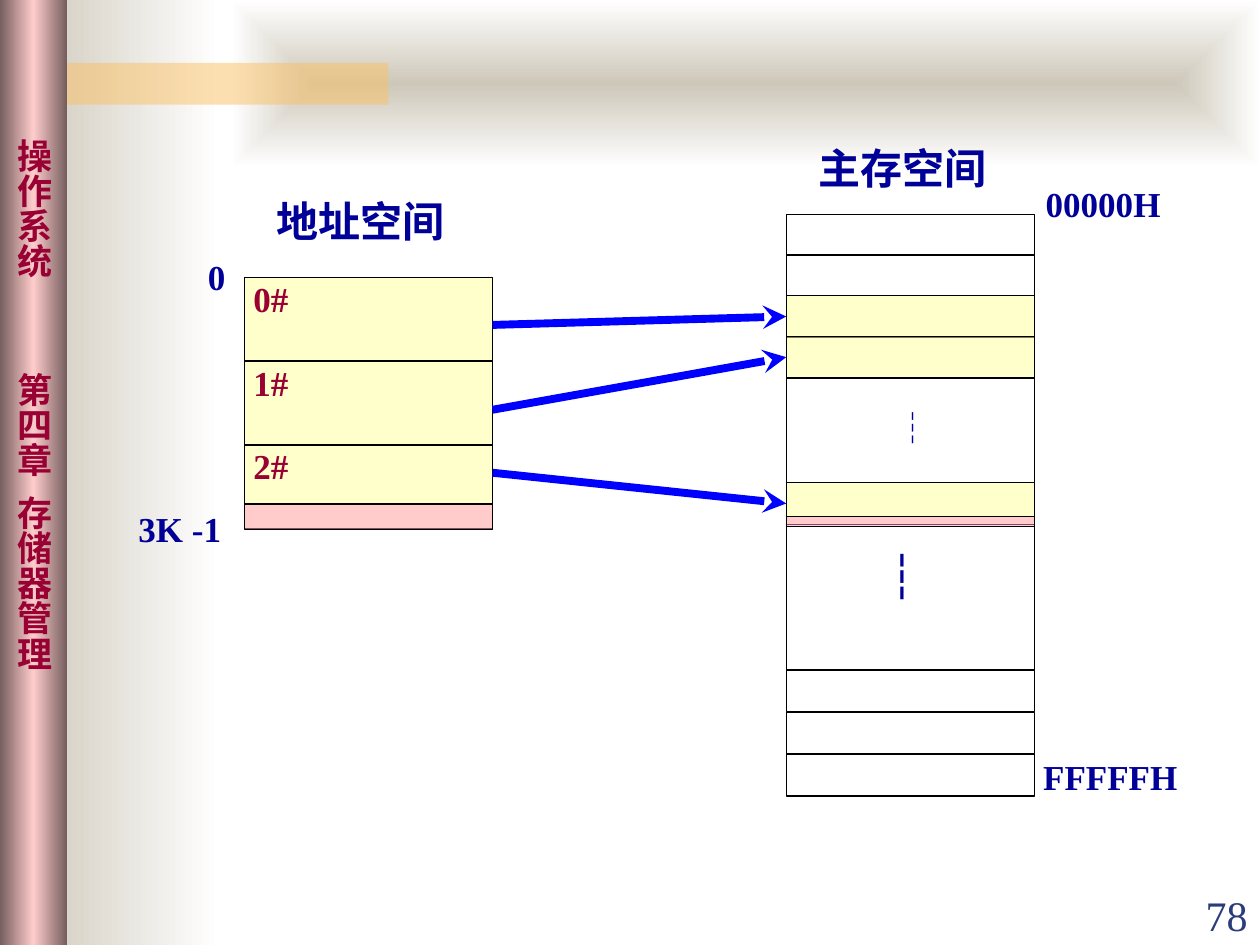
from lxml import etree
from pptx import Presentation, util as u
from pptx.dml.color import RGBColor
from pptx.enum import shapes, text
from pptx.oxml import ns, parse_xml

COLORS = {
    "sand": "CEC8BA", "white": "FFFFFF", "orange": "FAC164", "rose": "FFCCCC",
    "mauve": "765E5E", "crimson": "990033", "navy": "000099", "slate": "2A3D7A",
    "black": "000000", "yellow": "FFFF99", "pink": "FF99CC", "blue": "0000FF",
}
SERIF = "Times New Roman"
SANS = "Noto Sans CJK SC"

deck = Presentation()
deck.slide_width, deck.slide_height = u.Cm(25.4), u.Cm(19.05)
page = deck.slides.add_slide(deck.slide_layouts[6])


def add_rect(left, top, width, height, color=None, alpha=None, outlined=False):
    box = page.shapes.add_shape(
        shapes.MSO_SHAPE.RECTANGLE, u.Cm(left), u.Cm(top), u.Cm(width), u.Cm(height))
    box.shadow.inherit = False
    if outlined:
        box.line.color.rgb = RGBColor.from_string(COLORS["black"])
        box.line.width = u.Pt(0.75)
    else:
        box.line.fill.background()
    if color:
        box.fill.solid()
        box.fill.fore_color.rgb = RGBColor.from_string(COLORS[color])
    if alpha:
        shade = box.fill._xPr.find(ns.qn("a:solidFill"))[0]
        etree.SubElement(shade, ns.qn("a:alpha"), val=str(alpha * 1000))
    return box


def add_words(box, words, size, color, font=SERIF, bold=True):
    para = box.text_frame.paragraphs[0]
    para.alignment = text.PP_ALIGN.LEFT
    span = para.add_run()
    span.text = words
    span.font.size, span.font.bold, span.font.name = u.Pt(size), bold, font
    span.font.color.rgb = RGBColor.from_string(COLORS[color])
    etree.SubElement(span.font._element, ns.qn("a:ea"), typeface=SANS)
    return para


horizontal = '<a:lin ang="0" scaled="1"/>'
centred = ('<a:path path="shape"><a:fillToRect l="50000" t="50000" '
           'r="50000" b="50000"/></a:path>')
panels = [
    ((0.43, 0, 4.01, 19.05), ["sand", "white"], horizontal),
    ((4.65, 0, 20.75, 3.38), ["sand", "white"], centred),
    ((0, 0, 1.35, 19.05), ["mauve", "rose", "mauve"], horizontal),
]
for place, blend, direction in panels:
    sidebar = add_rect(*place)
    stops = "".join(
        f'<a:gs pos="{100000 * i // (len(blend) - 1)}"><a:srgbClr val="{COLORS[name]}"/></a:gs>'
        for i, name in enumerate(blend))
    gradient = parse_xml(
        f'<a:gradFill {ns.nsdecls("a")} rotWithShape="1"><a:gsLst>{stops}</a:gsLst>'
        f'{direction}</a:gradFill>')
    sidebar._element.spPr.find(ns.qn("a:prstGeom")).addnext(gradient)
    if direction == centred:
        add_rect(0.84, 1.27, 6.99, 0.84, "orange", 50)

sidebar.text_frame._txBody.bodyPr.set("vert", "eaVert")
sidebar.text_frame.vertical_anchor = text.MSO_ANCHOR.MIDDLE
title = add_words(sidebar, "\t操作系统\t第四章\t存储器管理", 20, "crimson", SANS)
tabs = etree.SubElement(title._p.get_or_add_pPr(), ns.qn("a:tabLst"))
for stop in (2.54, 7.26, 9.75):
    etree.SubElement(tabs, ns.qn("a:tab"), pos=str(u.Cm(stop)), algn="l")

MEMORY, SPACE, WIDTH = 15.85, 4.93, 5
add_rect(MEMORY, 7.62, WIDTH, 5.89, "white", outlined=True)
for i in range(4):
    add_rect(MEMORY, 4.32 + 0.82 * i, WIDTH, 0.84, "white", outlined=True)
for i in range(3):
    add_rect(MEMORY, 13.51 + 0.85 * i, WIDTH, 0.84, "white", outlined=True)

links = [(6.55, 5.96), (8.26, 6.78), (9.53, 9.73)]
for i, (start, frame_top) in enumerate(links):
    block = add_rect(SPACE, 5.59 + 1.69 * i, WIDTH, 1.68, "yellow", 50, True)
    frame = block.text_frame
    frame.margin_left, frame.margin_top = u.Cm(0.18), 0
    frame.vertical_anchor = text.MSO_ANCHOR.TOP
    add_words(block, f"{i}#", 20, "crimson")

    target = add_rect(MEMORY, frame_top, WIDTH, 0.84, "yellow", 50, True)
    arrow = page.shapes.add_connector(
        shapes.MSO_CONNECTOR.STRAIGHT, u.Cm(SPACE + WIDTH), u.Cm(start),
        u.Cm(MEMORY), u.Cm(frame_top + 0.42))
    arrow.end_connect(target, 1)
    arrow.line.color.rgb = RGBColor.from_string(COLORS["blue"])
    arrow.line.width = u.Pt(4.5)
    etree.SubElement(arrow.line._get_or_add_ln(), ns.qn("a:tailEnd"), type="stealth")
    etree.SubElement(arrow._element.spPr, ns.qn("a:effectLst"))

add_rect(SPACE, 10.16, WIDTH, 0.51, "pink", 50, True)
add_rect(MEMORY, 10.41, WIDTH, 0.2, "pink", 50, True)

labels = [
    ("主存空间", 16.26, 2.74, 4.34, 1.27, 24, SERIF),
    ("地址空间", 5.33, 3.81, 4.14, 1.27, 24, SERIF),
    ("00000H", 20.83, 3.56, 3, 1.09, 20, SERIF),
    ("FFFFFH", 20.78, 15.01, 3.43, 1.27, 20, SERIF),
    ("0", 3.94, 4.93, 1.07, 1.27, 20, SERIF),
    ("3K -1", 2.54, 10.11, 2.41, 1.09, 20, SERIF),
    ("┆", 17.81, 8.08, 1.22, 1.09, 20, SANS),
    ("┆", 17.68, 10.95, 1.57, 1.27, 24, SERIF),
]
for words, left, top, width, height, size, font in labels:
    box = page.shapes.add_textbox(u.Cm(left), u.Cm(top), u.Cm(width), u.Cm(height))
    box.text_frame.word_wrap = True
    box.text_frame.vertical_anchor = text.MSO_ANCHOR.MIDDLE
    add_words(box, words, size, "navy", font)

number = page.shapes.add_textbox(u.Cm(22.86), u.Cm(17.81), u.Cm(2.54), u.Cm(1.27))
number.text_frame.word_wrap = True
number.text_frame.vertical_anchor = text.MSO_ANCHOR.BOTTOM
para = add_words(number, "78", 24, "slate", bold=False)
para.alignment = text.PP_ALIGN.RIGHT

deck.save("out.pptx")
